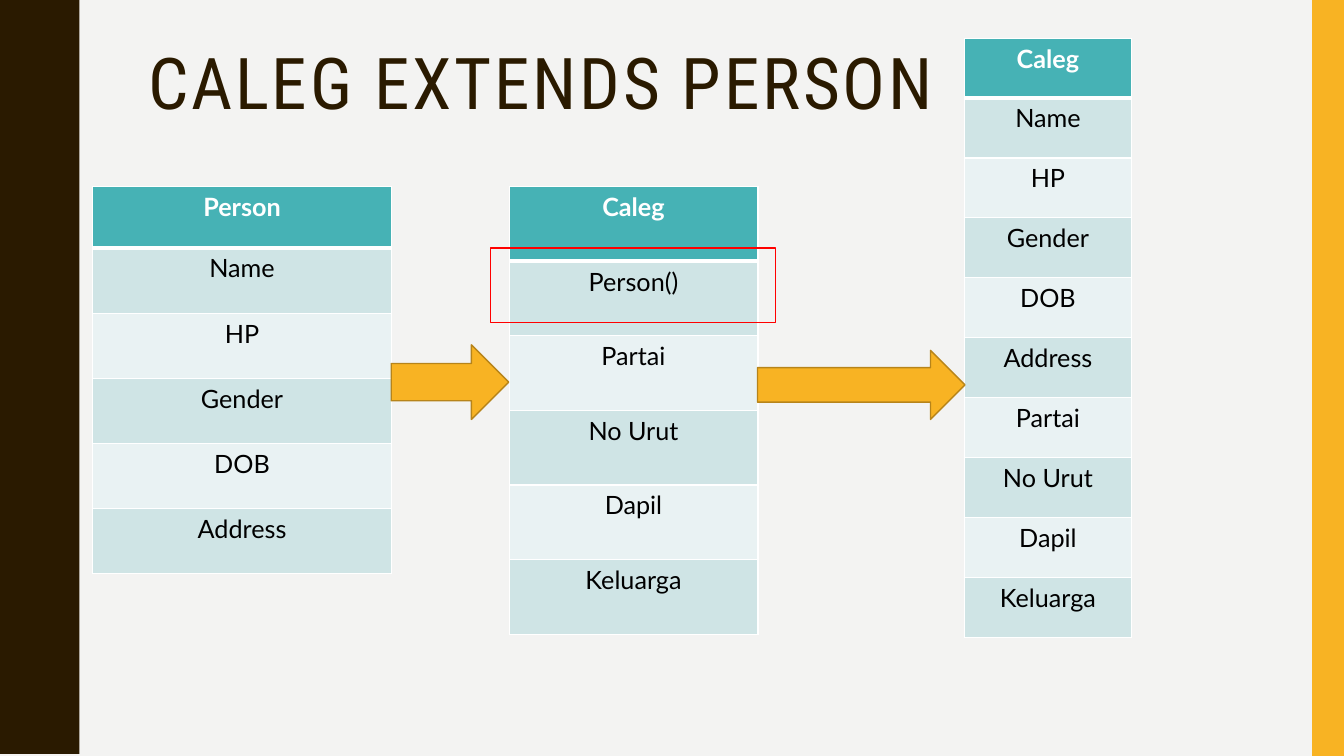
"""Build the slide on how Caleg extends Person, with three class tables."""
from lxml.etree import SubElement
from pptx import Presentation
from pptx.dml.color import RGBColor as Rgb
from pptx.enum.shapes import MSO_SHAPE as Kind
from pptx.enum.text import MSO_ANCHOR as Anchor, PP_ALIGN as Align
from pptx.oxml.ns import qn
from pptx.util import Cm, Pt

HEX = {
    "back": "F3F3F2", "brown": "2A1A00", "gold": "F8B323", "edge": "B7841A",
    "teal": "46B2B5", "dark": "CFE4E5", "light": "E9F2F3",
    "white": "FFFFFF", "black": "000000", "red": "FF0000",
}


def paint(shape, fill=None, line=None):
    shape.shadow.inherit = False
    if fill:
        shape.fill.solid()
        shape.fill.fore_color.rgb = Rgb.from_string(HEX[fill])
    else:
        shape.fill.background()
    if line:
        shape.line.color.rgb = Rgb.from_string(HEX[line])
        shape.line.width = Pt(1)
    else:
        shape.line.fill.background()


def border(cell, side, width):
    line = SubElement(cell._tc.get_or_add_tcPr(), qn("a:" + side), w=str(Pt(width)))
    fill = SubElement(line, qn("a:solidFill"))
    SubElement(fill, qn("a:srgbClr"), val=HEX["white"])


deck = Presentation()
deck.slide_width, deck.slide_height = Cm(33.87), Cm(19.05)
slide = deck.slides.add_slide(deck.slide_layouts[5])
slide.background.fill.solid()
slide.background.fill.fore_color.rgb = Rgb.from_string(HEX["back"])
shapes = slide.shapes

wave = 3.81
half = [
    (1.98, 0), (1.98, 0.18), (2.01, 0.36), (2.03, 0.51), (2.06, 0.64),
    (2.11, 0.74), (2.16, 0.84), (2.21, 0.96), (2.26, 1.07), (2.31, 1.17),
    (2.36, 1.27), (2.41, 1.4), (2.44, 1.55), (2.46, 1.73), (2.46, 1.9),
]
cycle = half + [(x, wave - y) for x, y in reversed(half)]
points = [(x, y + n * wave) for n in range(5) for x, y in cycle]
pen = shapes.build_freeform(0, 0, scale=Cm(1))
pen.add_line_segments(points + [(0, 5 * wave)], close=True)
paint(pen.convert_to_shape(), "brown")

stripe = shapes.add_shape(Kind.RECTANGLE, Cm(33.07), 0, Cm(0.8), deck.slide_height)
paint(stripe, "gold")

title = shapes.title
title.left, title.top, title.width, title.height = Cm(3.48), Cm(1.07), Cm(28.27), Cm(4.14)
frame = title.text_frame
frame.text = "CALEG EXTENDS PERSON"
frame.word_wrap = True
frame.vertical_anchor = Anchor.TOP
para = frame.paragraphs[0]
para.alignment = Align.LEFT
para.line_spacing = 0.9
para.font.name = "Roboto Condensed"
para.font.size = Pt(51)
para.font.color.rgb = Rgb.from_string(HEX["brown"])
para.runs[0].font._element.set("spc", "200")

base = ["Name", "HP", "Gender", "DOB", "Address"]
extra = ["Partai", "No Urut", "Dapil", "Keluarga"]
tables = [
    (12.83, 4.7, 6.27, 1.88, 1.88, ["Caleg", "Person()"] + extra),
    (2.33, 4.7, 7.54, 1.55, 1.64, ["Person"] + base),
    (24.3, 0.96, 4.22, 1.51, 1.51, ["Caleg"] + base + extra),
]
for left, top, width, head, step, names in tables:
    high = head + step * (len(names) - 1)
    grid = shapes.add_table(len(names), 1, Cm(left), Cm(top), Cm(width), Cm(high)).table
    for i, name in enumerate(names):
        grid.rows[i].height = Cm(step if i else head)
        cell = grid.cell(i, 0)
        for side, thick in (("lnL", 1), ("lnR", 1),
                            ("lnT", 3 if i == 1 else 1), ("lnB", 1 if i else 3)):
            border(cell, side, thick)
        tone = "teal" if i == 0 else "dark" if i % 2 else "light"
        cell.fill.solid()
        cell.fill.fore_color.rgb = Rgb.from_string(HEX[tone])
        cell.text = name
        para = cell.text_frame.paragraphs[0]
        para.alignment = Align.CENTER
        para.font.name = "Lato"
        para.font.size = Pt(18)
        para.font.bold = i == 0
        para.font.color.rgb = Rgb.from_string(HEX["black" if i else "white"])

for kind, left, top, width, high, fill, line in (
    (Kind.RIGHT_ARROW, 9.86, 8.69, 2.96, 1.88, "gold", "edge"),
    (Kind.RIGHT_ARROW, 19.09, 8.83, 5.23, 1.74, "gold", "edge"),
    (Kind.RECTANGLE, 12.36, 6.25, 7.19, 1.88, None, "red"),
):
    paint(shapes.add_shape(kind, Cm(left), Cm(top), Cm(width), Cm(high)), fill, line)

deck.save("out.pptx")
